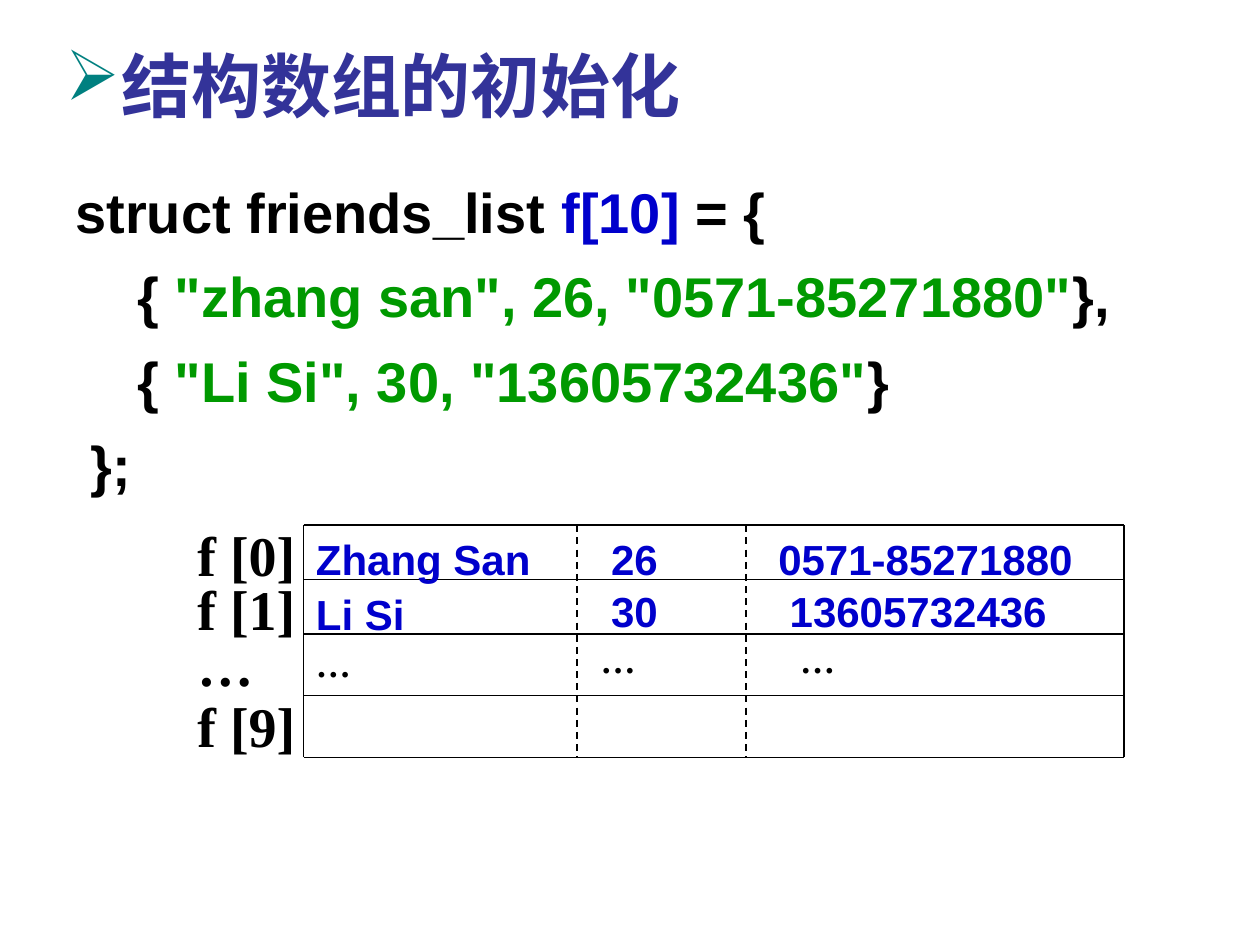
from lxml import etree
from pptx import Presentation
from pptx.dml.color import RGBColor
from pptx.enum.dml import MSO_LINE_DASH_STYLE as Dash
from pptx.enum.shapes import MSO_CONNECTOR as Connector
from pptx.enum.text import MSO_ANCHOR as Anchor, PP_ALIGN as Align
from pptx.oxml.ns import qn
from pptx.util import Cm, Pt

BLACK = RGBColor(0x00, 0x00, 0x00)
BLUE = RGBColor(0x00, 0x00, 0xCC)
GREEN = RGBColor(0x00, 0x99, 0x00)
INDIGO = RGBColor(0x33, 0x33, 0x99)

presentation = Presentation()
presentation.slide_width, presentation.slide_height = Cm(25.4), Cm(19.05)
slide = presentation.slides.add_slide(presentation.slide_layouts[5])


def write(shape, lines, font="Arial", size=24, before=0, spacing=1.05, anchor=Anchor.TOP):
    """Fill a shape with lines, each an indent in cm and its (text, colour) runs."""
    frame = shape.text_frame
    frame.word_wrap = True
    frame.vertical_anchor = anchor
    for number, (indent, runs) in enumerate(lines):
        paragraph = frame.add_paragraph() if number else frame.paragraphs[0]
        paragraph.alignment = Align.LEFT
        paragraph.line_spacing = spacing
        paragraph.space_before = Pt(before)
        paragraph._p.get_or_add_pPr().set("marL", str(Cm(indent)))
        for text, colour in runs:
            run = paragraph.add_run()
            run.text = text
            run.font.name, run.font.size, run.font.bold = font, Pt(size), True
            run.font.color.rgb = colour


def add_rule(x1, y1, x2, y2, dashed=False):
    line = slide.shapes.add_connector(
        Connector.STRAIGHT, Cm(x1), Cm(y1), Cm(x2), Cm(y2))
    line.line.color.rgb = BLACK
    line.line.width = Pt(1)
    if dashed:
        line.line.dash_style = Dash.DASH
    etree.SubElement(line._element.spPr, qn("a:effectLst"))


# Title with an arrow bullet
title = slide.shapes.title
title.left, title.top, title.width, title.height = Cm(1.07), Cm(0.64), Cm(13.77), Cm(2.03)
write(title, [(0, [("结构数组的初始化", INDIGO)])], font="Karla", size=40,
      anchor=Anchor.MIDDLE)
title_format = title.text_frame.paragraphs[0]._p.get_or_add_pPr()
bullet_colour = etree.SubElement(title_format, qn("a:buClr"))
etree.SubElement(bullet_colour, qn("a:srgbClr"), val="008080")
etree.SubElement(title_format, qn("a:buChar"), char="➢")

# Code listing
code = slide.shapes.add_textbox(Cm(1.27), Cm(3.38), Cm(22.61), Cm(6.55))
write(code, [
    (0, [("struct friends_list ", BLACK), ("f[10]", BLUE), (" = {", BLACK)]),
    (1.25, [("{ ", BLACK), ('"zhang san", 26, "0571-85271880"', GREEN), ("},", BLACK)]),
    (1.25, [("{ ", BLACK), ('"Li Si", 30, "13605732436"', GREEN), ("}", BLACK)]),
    (0.31, [("};", BLACK)]),
], size=32, before=8)

# Array diagram: grid
column_edges = [6.12, 11.63, 15.04, 22.66]
row_edges = [10.59, 11.68, 12.78, 14.02, 15.27]
for y in row_edges:
    add_rule(column_edges[0], y, column_edges[-1], y)
for x in column_edges:
    add_rule(x, row_edges[0], x, row_edges[-1], dashed=x in column_edges[1:-1])

# Array diagram: index labels
for label, top in [("f [0]", 10.31), ("f [1]", 11.4), ("…", 12.52), ("f [9]", 13.74)]:
    box = slide.shapes.add_textbox(Cm(3.73), Cm(top), Cm(4.22), Cm(1.1))
    write(box, [(0, [(label, BLACK)])], font="Times New Roman", size=32,
          before=8 if label == "…" else 0)

# Array diagram: cell values as (text, left, top)
cell_widths = [5.16, 2.9, 7.32]
records = [
    [("Zhang San", 6.12, 10.59), ("26", 12.07, 10.59), ("0571-85271880", 15.44, 10.59)],
    [("Li Si", 6.12, 11.68), ("30", 12.07, 11.63), ("13605732436", 15.67, 11.63)],
    [("…", 6.12, 12.78), ("…", 11.86, 12.7), ("…", 15.88, 12.7)],
]
for record in records:
    for (text, left, top), width in zip(record, cell_widths):
        box = slide.shapes.add_textbox(Cm(left), Cm(top), Cm(width), Cm(1.1))
        if text == "…":
            write(box, [(0, [(text, BLACK)])], font="Times New Roman", size=20)
        else:
            write(box, [(0, [(text, BLUE)])])

presentation.save("out.pptx")
